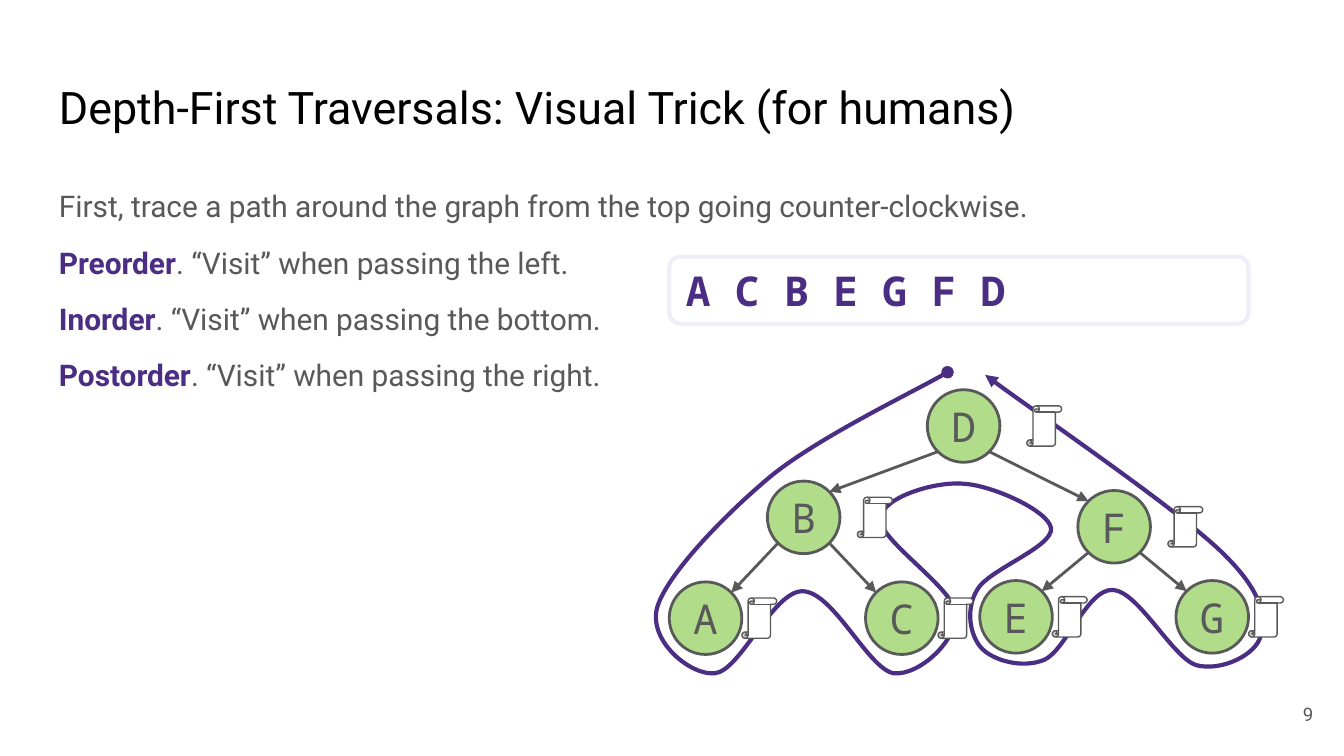
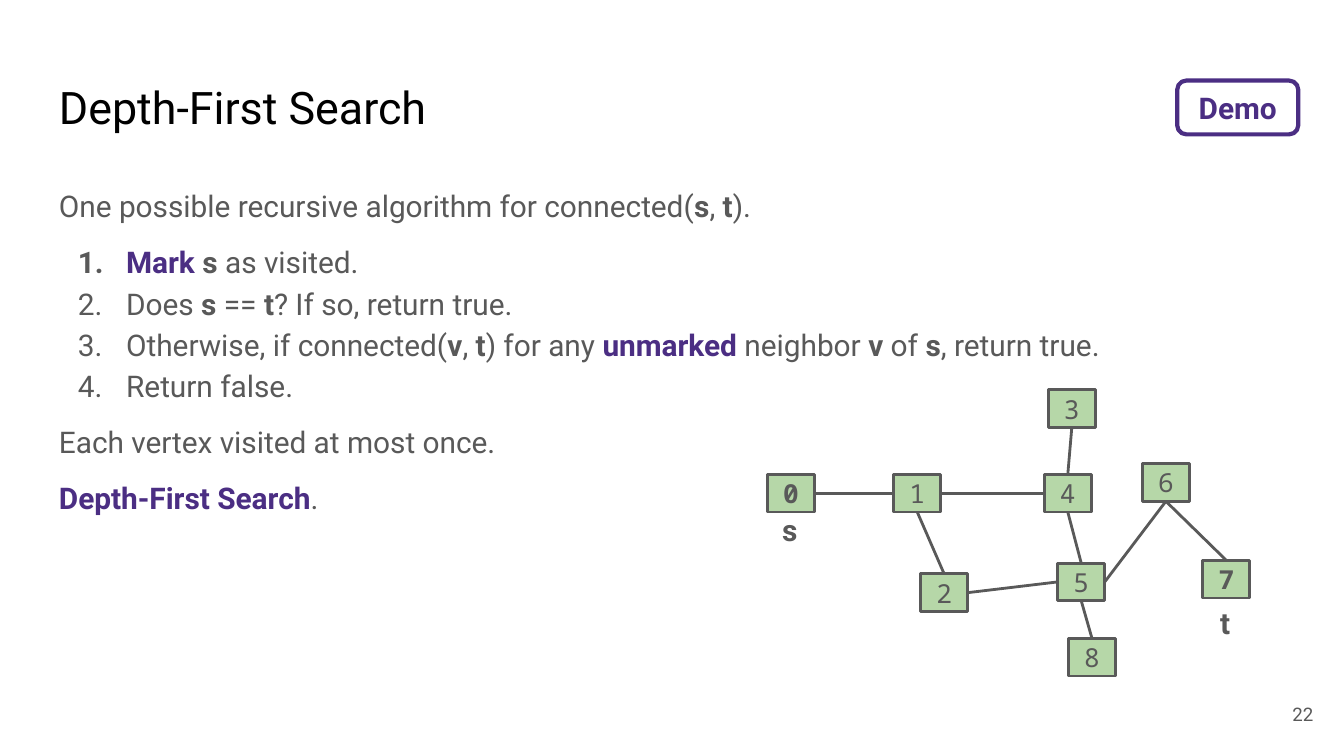
"""Build two slides on depth-first traversal and depth-first search."""
from dataclasses import dataclass
from math import copysign, sqrt
from typing import NamedTuple

from lxml import etree
from pptx import Presentation
from pptx.dml.color import RGBColor
from pptx.enum.shapes import MSO_CONNECTOR, MSO_SHAPE
from pptx.enum.text import MSO_ANCHOR, PP_ALIGN
from pptx.oxml.ns import qn
from pptx.util import Inches, Pt

COLORS = {
    "title": "000000",
    "text": "595959",
    "accent": "4B2E83",
    "frame": "F0ECF8",
    "leaf": "B1DD8B",
    "vertex": "B6D7A8",
    "white": "FFFFFF",
}
SANS, MONO = "Roboto", "Noto Sans Mono"
NODE_SIZE = 0.54
VERTEX_W, VERTEX_H = 0.35, 0.28
TOP, LEFT, BOTTOM, RIGHT = range(4)


class Run(NamedTuple):
    text: str
    color: str = "text"
    bold: bool = False


class Para(NamedTuple):
    runs: list[Run]
    before: int = 8
    after: int = 0
    numbered: bool = False


class Style(NamedTuple):
    size: int
    font: str = SANS
    color: str = "text"
    bold: bool = False


@dataclass
class TreeNode:
    label: str
    x: float
    y: float
    scroll_dx: float = NODE_SIZE

    def corner(self, dx: float, dy: float) -> tuple[float, float]:
        """Return the point on the circle on the diagonal towards (dx, dy)."""
        half = NODE_SIZE / 2
        reach = half / sqrt(2)
        return self.x + half + copysign(reach, dx), self.y + half + copysign(reach, dy)


@dataclass
class Vertex:
    label: str
    x: float
    y: float
    bold: bool = False


class Edge(NamedTuple):
    start: str
    start_site: int
    end: str
    end_site: int


TREE = [
    TreeNode("A", 4.98, 4.33), TreeNode("C", 6.44, 4.33), TreeNode("B", 5.71, 3.58, 0.67),
    TreeNode("D", 6.9, 2.9, 0.74), TreeNode("E", 7.29, 4.32), TreeNode("F", 8.02, 3.65, 0.67),
    TreeNode("G", 8.75, 4.32),
]
TREE_EDGES = ["BA", "BC", "FE", "FG", "DB", "DF"]
TOUR_START = (7.05, 2.77)
TOUR_CURVES = [
    (6.83, 2.9, 6.1, 3.25, 5.74, 3.54), (5.38, 3.84, 4.96, 4.28, 4.89, 4.52),
    (4.82, 4.77, 5.14, 5.03, 5.32, 5.01), (5.51, 4.99, 5.75, 4.4, 5.97, 4.4),
    (6.2, 4.4, 6.46, 4.98, 6.65, 5.01), (6.84, 5.03, 7.13, 4.76, 7.11, 4.56),
    (7.09, 4.37, 6.54, 4.02, 6.55, 3.86), (6.56, 3.7, 6.96, 3.58, 7.17, 3.6),
    (7.38, 3.61, 7.8, 3.8, 7.82, 3.93), (7.84, 4.07, 7.35, 4.24, 7.27, 4.39),
    (7.18, 4.54, 7.22, 4.73, 7.3, 4.82), (7.38, 4.91, 7.6, 4.98, 7.77, 4.91),
    (7.93, 4.84, 8.09, 4.38, 8.28, 4.39), (8.47, 4.4, 8.72, 4.89, 8.9, 4.95),
    (9.09, 5, 9.35, 4.87, 9.38, 4.73), (9.41, 4.59, 9.41, 4.41, 9.07, 4.09),
    (8.73, 3.77, 7.62, 3.01, 7.33, 2.79),
]
VERTICES = [
    Vertex("0", 5.71, 3.53, True), Vertex("1", 6.65, 3.53), Vertex("2", 6.85, 4.27),
    Vertex("3", 7.8, 2.9), Vertex("4", 7.77, 3.53), Vertex("5", 7.87, 4.19),
    Vertex("6", 8.5, 3.45), Vertex("7", 8.95, 4.17, True), Vertex("8", 7.95, 4.75),
]
GRAPH_EDGES = [
    Edge("0", RIGHT, "1", LEFT), Edge("1", BOTTOM, "2", TOP), Edge("1", RIGHT, "4", LEFT),
    Edge("3", BOTTOM, "4", TOP), Edge("6", BOTTOM, "7", TOP), Edge("6", BOTTOM, "5", RIGHT),
    Edge("4", BOTTOM, "5", TOP), Edge("2", RIGHT, "5", LEFT), Edge("5", BOTTOM, "8", TOP),
]


def rgb(name: str) -> RGBColor:
    return RGBColor.from_string(COLORS[name])


def key(text: str) -> Run:
    return Run(text, "accent", True)


def var(text: str) -> Run:
    return Run(text, bold=True)


def set_font(font, style: Style) -> None:
    font.name, font.size, font.bold = style.font, Pt(style.size), style.bold
    font.color.rgb = rgb(style.color)


def set_frame(tf, anchor=MSO_ANCHOR.TOP) -> None:
    tf.word_wrap = True
    tf.vertical_anchor = anchor
    tf.margin_left = tf.margin_right = tf.margin_top = tf.margin_bottom = Inches(0.1)


def write(shape, text: str, style: Style, align=PP_ALIGN.LEFT, anchor=MSO_ANCHOR.TOP) -> None:
    tf = shape.text_frame
    set_frame(tf, anchor)
    tf.text = text
    p = tf.paragraphs[0]
    p.alignment = align
    set_font(p.runs[0].font, style)


def add_text(shapes, box: tuple, text: str, style: Style, **layout) -> None:
    write(shapes.add_textbox(*map(Inches, box)), text, style, **layout)


def add_box(shapes, kind, box: tuple, fill: str, line: str = "text", width: float = 1.5):
    sp = shapes.add_shape(kind, *map(Inches, box))
    sp.shadow.inherit = False
    sp.fill.solid()
    sp.fill.fore_color.rgb = rgb(fill)
    sp.line.color.rgb = rgb(line)
    sp.line.width = Pt(width)
    return sp


def add_label_box(shapes, kind, box: tuple, fill: str, text: str, style: Style):
    sp = add_box(shapes, kind, box, fill)
    write(sp, text, style, PP_ALIGN.CENTER, MSO_ANCHOR.MIDDLE)
    return sp


def add_rounded(shapes, box: tuple, line: str, text: str, style: Style, align) -> None:
    sp = add_box(shapes, MSO_SHAPE.ROUNDED_RECTANGLE, box, "white", line, 2.25)
    sp.adjustments[0] = 0.167
    write(sp, text, style, align, MSO_ANCHOR.MIDDLE)


def add_heads(shape, **ends: str) -> None:
    ln = shape.element.spPr.find(qn("a:ln"))
    for end, kind in ends.items():
        etree.SubElement(ln, qn(f"a:{end}"), type=kind)


def add_line(shapes, start: tuple = (0, 0), end: tuple = (1, 1)):
    cx = shapes.add_connector(MSO_CONNECTOR.STRAIGHT, *map(Inches, (*start, *end)))
    cx.line.color.rgb = rgb("text")
    cx.line.width = Pt(1.5)
    etree.SubElement(cx.element.spPr, qn("a:effectLst"))
    return cx


def add_tour(shapes) -> None:
    builder = shapes.build_freeform(*map(Inches, TOUR_START), scale=1.0)
    points = [(Inches(c[i]), Inches(c[i + 1])) for c in TOUR_CURVES for i in (0, 2, 4)]
    builder.add_line_segments(points, close=False)
    sp = builder.convert_to_shape()
    lines = list(sp.element.iter(qn("a:lnTo")))
    for i in range(0, len(lines), 3):
        curve = etree.Element(qn("a:cubicBezTo"))
        lines[i].addprevious(curve)
        for segment in lines[i:i + 3]:
            curve.append(segment[0])
            segment.getparent().remove(segment)
    sp.shadow.inherit = False
    sp.fill.background()
    sp.line.color.rgb = rgb("accent")
    sp.line.width = Pt(2.25)
    add_heads(sp, headEnd="oval", tailEnd="triangle")


def number(p) -> None:
    pPr = p._p.get_or_add_pPr()
    pPr.set("marL", str(Inches(0.5)))
    pPr.set("indent", str(Inches(-0.36)))
    color = etree.SubElement(pPr, qn("a:buClr"))
    etree.SubElement(color, qn("a:srgbClr"), val=COLORS["text"])
    etree.SubElement(pPr, qn("a:buFont"), typeface=SANS)
    etree.SubElement(pPr, qn("a:buAutoNum"), type="arabicPeriod")


def add_body(shapes, height: float, paras: list[Para]) -> None:
    tf = shapes.add_textbox(*map(Inches, (0.34, 1.26, 9.32, height))).text_frame
    set_frame(tf)
    for i, para in enumerate(paras):
        p = tf.add_paragraph() if i else tf.paragraphs[0]
        if para.numbered:
            number(p)
        p.line_spacing = 1.15
        p.space_before, p.space_after = Pt(para.before), Pt(para.after)
        for run in para.runs:
            r = p.add_run()
            r.text = run.text
            set_font(r.font, Style(16, SANS, run.color, run.bold))


def add_slide(prs, title: str, page: int):
    s = prs.slides.add_slide(prs.slide_layouts[6])
    add_text(s.shapes, (0.34, 0.49, 9.32, 0.63), title, Style(24, color="title"))
    add_text(s.shapes, (9.27, 5.1, 0.6, 0.43), str(page), Style(10),
             align=PP_ALIGN.RIGHT, anchor=MSO_ANCHOR.MIDDLE)
    return s


def build_traversals(prs) -> None:
    shapes = add_slide(prs, "Depth-First Traversals: Visual Trick (for humans)", 9).shapes
    intro = "First, trace a path around the graph from the top going counter-clockwise."
    add_body(shapes, 1.75, [
        Para([Run(intro)], before=0),
        Para([key("Preorder"), Run(". “Visit” when passing the left.")]),
        Para([key("Inorder"), Run(". “Visit” when passing the bottom.")]),
        Para([key("Postorder"), Run(". “Visit” when passing the right.")], after=8),
    ])
    nodes = {node.label: node for node in TREE}
    for node in TREE:
        add_label_box(shapes, MSO_SHAPE.OVAL, (node.x, node.y, NODE_SIZE, NODE_SIZE),
                      "leaf", node.label, Style(22, MONO))
    for parent, child in (map(nodes.get, edge) for edge in TREE_EDGES):
        side = child.x - parent.x
        cx = add_line(shapes, parent.corner(side, 1), child.corner(-side, -1))
        add_heads(cx, tailEnd="triangle")
    add_rounded(shapes, (4.98, 1.91, 4.31, 0.5), "frame", "A C B E G F D",
                Style(22, MONO, "accent", True), PP_ALIGN.LEFT)
    add_tour(shapes)
    for node in TREE:
        scroll = add_box(shapes, MSO_SHAPE.VERTICAL_SCROLL,
                         (node.x + node.scroll_dx, node.y + 0.12, 0.26, 0.3), "white", width=0.75)
        scroll.adjustments[0] = 0.18


def build_search(prs) -> None:
    shapes = add_slide(prs, "Depth-First Search", 22).shapes
    add_body(shapes, 3.74, [
        Para([Run("One possible recursive algorithm for connected("), var("s"), Run(", "),
              var("t"), Run(").")], before=0),
        Para([key("Mark "), var("s"), Run(" as visited.")], numbered=True),
        Para([Run("Does "), var("s"), Run(" == "), var("t"), Run("? If so, return true.")],
             before=0, numbered=True),
        Para([Run("Otherwise, if connected("), var("v"), Run(", "), var("t"), Run(") for any "),
              key("unmarked"), Run(" neighbor "), var("v"), Run(" of "), var("s"),
              Run(", return true.")], before=0, numbered=True),
        Para([Run("Return false.")], before=0, numbered=True),
        Para([Run("Each vertex visited at most once.")]),
        Para([key("Depth-First Search"), Run(".")], after=8),
    ])
    graph = shapes.add_group_shape().shapes
    boxes = {v.label: add_label_box(graph, MSO_SHAPE.RECTANGLE, (v.x, v.y, VERTEX_W, VERTEX_H),
                                    "vertex", v.label, Style(14, MONO, bold=v.bold))
             for v in VERTICES}
    for edge in GRAPH_EDGES:
        cx = add_line(graph)
        cx.begin_connect(boxes[edge.start], edge.start_site)
        cx.end_connect(boxes[edge.end], edge.end_site)
    add_text(graph, (5.72, 3.71, 0.35, 0.39), "s", Style(16, bold=True))
    add_text(graph, (8.98, 4.4, 0.45, 0.44), "t", Style(16, bold=True))
    add_rounded(shapes, (8.76, 0.6, 0.9, 0.4), "accent", "Demo",
                Style(16, color="accent", bold=True), PP_ALIGN.CENTER)


def main() -> None:
    prs = Presentation()
    prs.slide_width = Inches(10)
    prs.slide_height = Inches(10 * 9 / 16)
    build_traversals(prs)
    build_search(prs)
    prs.save("out.pptx")


if __name__ == "__main__":
    main()
